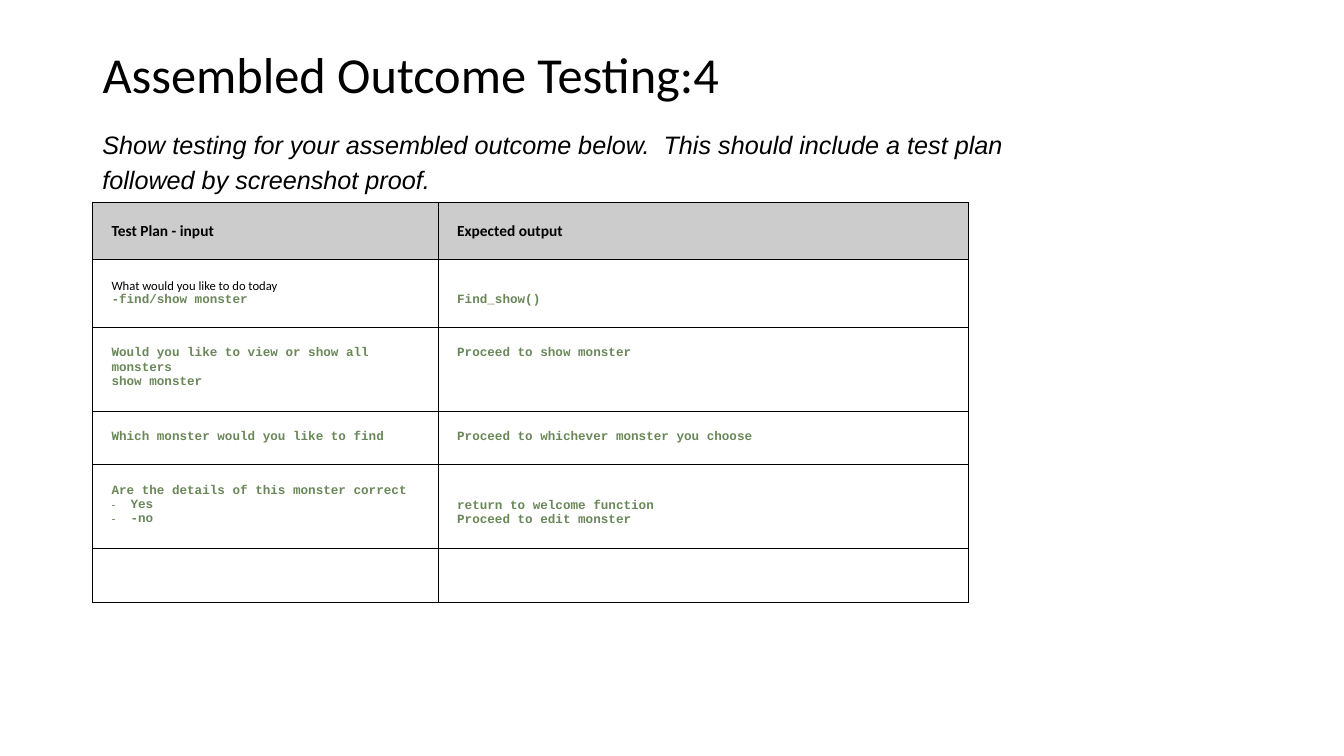
"""Build the assembled outcome testing slide with its test plan table."""
from lxml.etree import SubElement
from pptx import Presentation
from pptx.dml.color import RGBColor
from pptx.enum.text import MSO_ANCHOR as Anchor, MSO_AUTO_SIZE as AutoSize, PP_ALIGN as Align
from pptx.oxml.ns import qn
from pptx.util import Cm, Pt

COLORS = {"text": "000000", "code": "6A8759", "header": "CCCCCC", "border": "000000"}
FORMATS = {
    "title": {"name": "Calibri", "size": Pt(36), "bold": False},
    "intro": {"name": "Arial", "size": Pt(18), "italic": True},
    "header": {"name": "Calibri", "size": Pt(11), "bold": True},
    "plain": {"name": "Calibri", "size": Pt(9), "bold": False},
    "code": {"name": "Courier New", "size": Pt(9), "bold": True},
}
COLUMN_WIDTHS = [8.71, 13.36]
ROW_HEIGHTS = [1.41, 1.71, 2.11, 1.35, 2.11, 1.35]
INSET = 0.48
LINE_DROP = 0.38
TEST_PLAN = [
    [[("header", "Test Plan - input")], [("header", "Expected output")]],
    [[("plain", "What would you like to do today"), ("code", "-find/show monster")],
     [("code", "Find_show()")]],
    [[("code", "Would you like to view or show all monsters"), ("code", "show monster")],
     [("code", "Proceed to show monster")]],
    [[("code", "Which monster would you like to find")],
     [("code", "Proceed to whichever monster you choose")]],
    [[("code", "Are the details of this monster correct"), ("bullet", "Yes"), ("bullet", "-no")],
     [("code", "return to welcome function"), ("code", "Proceed to edit monster")]],
    [[], []],
]
LOWERED_CELLS = {(1, 1), (4, 1)}


def write(paragraph, text, style):
    run = paragraph.add_run()
    run.text = text
    for attribute, value in FORMATS[style].items():
        setattr(run.font, attribute, value)
    color = COLORS["code" if style == "code" else "text"]
    run.font.color.rgb = RGBColor.from_string(color)


def add_borders(cell):
    properties = cell._tc.get_or_add_tcPr()
    for position, side in enumerate(("lnL", "lnR", "lnT", "lnB")):
        line = properties.makeelement(qn(f"a:{side}"), {"w": str(Pt(0.75))})
        properties.insert(position, line)
        fill = SubElement(line, qn("a:solidFill"))
        SubElement(fill, qn("a:srgbClr"), val=COLORS["border"])


presentation = Presentation()
presentation.slide_width, presentation.slide_height = Cm(33.87), Cm(19.05)
slide = presentation.slides.add_slide(presentation.slide_layouts[5])

title = slide.shapes.title
title.left, title.top, title.width, title.height = Cm(2.33), Cm(1.12), Cm(29.21), Cm(1.63)
title.text_frame.vertical_anchor = Anchor.MIDDLE
title_paragraph = title.text_frame.paragraphs[0]
title_paragraph.alignment = Align.LEFT
title_paragraph.line_spacing = 0.9
write(title_paragraph, "Assembled Outcome Testing:4", "title")

intro = slide.shapes.add_textbox(Cm(2.33), Cm(3.02), Cm(24.36), Cm(1.96))
intro.text_frame.word_wrap = True
intro.text_frame.auto_size = AutoSize.SHAPE_TO_FIT_TEXT
intro_paragraph = intro.text_frame.paragraphs[0]
intro_paragraph.line_spacing = 1.15
write(intro_paragraph, "Show testing for your assembled outcome below.  This should include "
      "a test plan followed by screenshot proof.", "intro")

table = slide.shapes.add_table(
    len(ROW_HEIGHTS), len(COLUMN_WIDTHS), Cm(2.33), Cm(5.1),
    Cm(sum(COLUMN_WIDTHS)), Cm(sum(ROW_HEIGHTS))).table
for column, width in zip(table.columns, COLUMN_WIDTHS):
    column.width = Cm(width)
for row, height in zip(table.rows, ROW_HEIGHTS):
    row.height = Cm(height)

for row_index, row_content in enumerate(TEST_PLAN):
    for column_index, lines in enumerate(row_content):
        cell = table.cell(row_index, column_index)
        if row_index == 0:
            cell.fill.solid()
            cell.fill.fore_color.rgb = RGBColor.from_string(COLORS["header"])
        else:
            cell.fill.background()
        add_borders(cell)
        if lines:
            drop = LINE_DROP if (row_index, column_index) in LOWERED_CELLS else 0
            cell.margin_left = cell.margin_right = cell.margin_bottom = Cm(INSET)
            cell.margin_top = Cm(INSET + drop)
        for line_index, (style, text) in enumerate(lines):
            frame = cell.text_frame
            paragraph = frame.add_paragraph() if line_index else frame.paragraphs[0]
            if style == "bullet":
                properties = paragraph._p.get_or_add_pPr()
                properties.set("marL", str(Cm(INSET)))
                properties.set("indent", str(-Cm(INSET)))
                SubElement(properties, qn("a:buFont"), typeface="Calibri")
                SubElement(properties, qn("a:buChar"), char="-")
            write(paragraph, text, "code" if style == "bullet" else style)

presentation.save("out.pptx")
